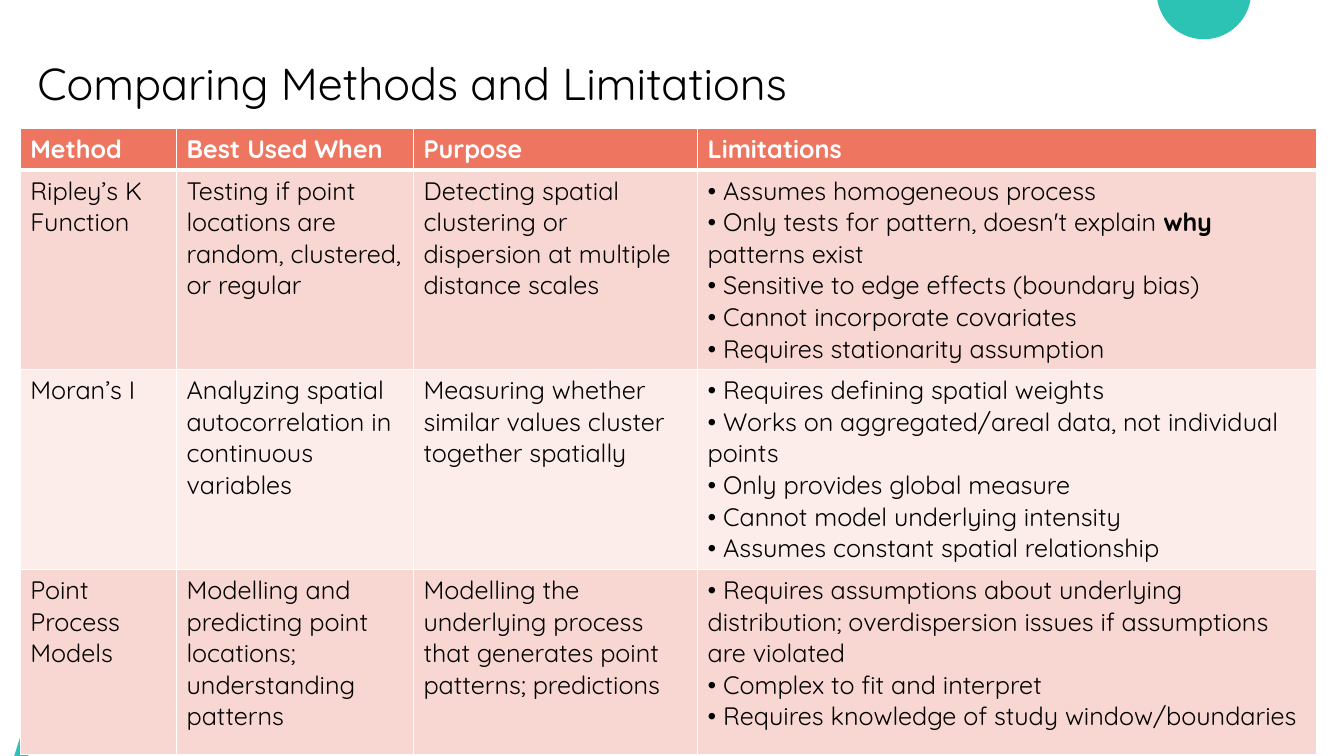
import math

from lxml import etree
from pptx import Presentation
from pptx.dml.color import RGBColor
from pptx.enum.text import MSO_ANCHOR, MSO_AUTO_SIZE, PP_ALIGN
from pptx.oxml.ns import qn
from pptx.util import Cm, Pt

LEFT = PP_ALIGN.LEFT
MIDDLE = MSO_ANCHOR.MIDDLE
NO_AUTOFIT = MSO_AUTO_SIZE.NONE

FONT = "Quicksand"
BLACK = RGBColor(0x00, 0x00, 0x00)
WHITE = RGBColor(0xFF, 0xFF, 0xFF)
TEAL = RGBColor(0x2C, 0xC3, 0xB4)
CORAL = RGBColor(0xEE, 0x76, 0x61)
PINK = RGBColor(0xF8, 0xD6, 0xD2)
PALE_PINK = RGBColor(0xFC, 0xEC, 0xEA)

TITLE_ONLY_LAYOUT = 5
COLUMN_WIDTHS = (3.94, 5.97, 7.16, 15.6)
HEADER_HEIGHT = 0.99
METHOD_HEIGHT = 4.67

DASHES = (
    (
        (0.36, 19.05), (0.51, 18.57), (0.76, 18.08), (0.91, 18.01),
        (1.06, 18.06), (1.11, 18.18), (0.97, 18.42), (0.84, 18.72), (0.71, 19.05),
    ),
    (
        (2.67, 16.33), (2.62, 16.36), (2.15, 16.63), (1.7, 16.97),
        (1.62, 17.13), (1.8, 17.27), (1.93, 17.22), (2.33, 16.92),
        (2.77, 16.66), (2.86, 16.52), (2.78, 16.37),
    ),
    (
        (4.55, 15.88), (4.01, 15.93), (3.86, 16.13), (4.01, 16.28),
        (4.55, 16.24), (5.05, 16.26), (5.27, 16.13), (5.11, 15.93),
    ),
)

HEADERS = ("Method", "Best Used When", "Purpose", "Limitations")
# Text between double asterisks is bold.
METHODS = (
    (
        "Ripley’s K Function",
        "Testing if point locations are random, clustered, or regular",
        "Detecting spatial clustering or dispersion at multiple distance scales",
        (
            "Assumes homogeneous process",
            "Only tests for pattern, doesn't explain **why** patterns exist",
            "Sensitive to edge effects (boundary bias)",
            "Cannot incorporate covariates",
            "Requires stationarity assumption",
        ),
    ),
    (
        "Moran’s I",
        "Analyzing spatial autocorrelation in continuous variables",
        "Measuring whether similar values cluster together spatially",
        (
            "Requires defining spatial weights",
            "Works on aggregated/areal data, not individual points",
            "Only provides global measure",
            "Cannot model underlying intensity",
            "Assumes constant spatial relationship",
        ),
    ),
    (
        "Point Process Models",
        "Modelling and predicting point locations; understanding patterns",
        "Modelling the underlying process that generates point patterns; predictions",
        (
            "Requires assumptions about underlying distribution; "
            "overdispersion issues if assumptions are violated",
            "Complex to fit and interpret",
            "Requires knowledge of study window/boundaries",
        ),
    ),
)


def format_font(paragraph, size, color):
    paragraph.font.name = FONT
    paragraph.font.size = Pt(size)
    paragraph.font.color.rgb = color


def add_teal_shape(slide, contours):
    """Draw one shape of closed contours given in centimetres."""
    contours = [[(Cm(x), Cm(y)) for x, y in contour] for contour in contours]
    builder = slide.shapes.build_freeform(*contours[0][0])
    builder.add_line_segments(contours[0][1:])
    for start, *others in contours[1:]:
        builder.move_to(*start)
        builder.add_line_segments(others)
    shape = builder.convert_to_shape()
    shape.shadow.inherit = False
    shape.fill.solid()
    shape.fill.fore_color.rgb = TEAL
    shape.line.fill.background()


def circle_below_edge(center_x, center_y, radius, steps=48):
    """Return the part of a circle that lies below the slide's top edge."""
    first = math.asin(-center_y / radius)
    sweep = math.pi - 2 * first
    angles = [first + sweep * step / steps for step in range(steps + 1)]
    return [
        (center_x + radius * math.cos(angle), center_y + radius * math.sin(angle))
        for angle in angles
    ]


def set_title(slide, text):
    title = slide.shapes.title
    title.left, title.top = Cm(0.69), Cm(0.33)
    title.width, title.height = Cm(29.21), Cm(3.68)
    frame = title.text_frame
    frame.text = text
    frame.auto_size = NO_AUTOFIT
    frame.vertical_anchor = MIDDLE
    paragraph = frame.paragraphs[0]
    paragraph.alignment = LEFT
    paragraph.line_spacing = 0.9
    format_font(paragraph, 32, BLACK)


def set_borders(cell, top, bottom):
    """Give a cell white borders, 1 point wide at the sides."""
    properties = cell._tc.get_or_add_tcPr()
    for tag, width in (("a:lnL", 1), ("a:lnR", 1), ("a:lnT", top), ("a:lnB", bottom)):
        line = etree.SubElement(properties, qn(tag), w=str(Pt(width)))
        fill = etree.SubElement(line, qn("a:solidFill"))
        etree.SubElement(fill, qn("a:srgbClr"), val=str(WHITE))


def fill_cell(cell, lines, background, color, bold=False):
    cell.fill.solid()
    cell.fill.fore_color.rgb = background
    frame = cell.text_frame
    for index, line in enumerate(lines):
        paragraph = frame.add_paragraph() if index else frame.paragraphs[0]
        format_font(paragraph, 18, color)
        for part_index, part in enumerate(line.split("**")):
            run = paragraph.add_run()
            run.text = part
            run.font.bold = bold or part_index % 2 == 1


def add_methods_table(slide):
    heights = [HEADER_HEIGHT] + [METHOD_HEIGHT] * len(METHODS)
    table = slide.shapes.add_table(
        len(heights), len(HEADERS), Cm(0.51), Cm(3.23),
        Cm(sum(COLUMN_WIDTHS)), Cm(sum(heights)),
    ).table
    for column, width in zip(table.columns, COLUMN_WIDTHS):
        column.width = Cm(width)
    for row, height in zip(table.rows, heights):
        row.height = Cm(height)

    for column, header in enumerate(HEADERS):
        cell = table.cell(0, column)
        set_borders(cell, top=1, bottom=3)
        fill_cell(cell, [header], CORAL, WHITE, bold=True)
    for row, (*descriptions, limitations) in enumerate(METHODS, start=1):
        background = PINK if row % 2 else PALE_PINK
        contents = [[description] for description in descriptions]
        contents.append([f"• {limitation}" for limitation in limitations])
        for column, lines in enumerate(contents):
            cell = table.cell(row, column)
            set_borders(cell, top=3 if row == 1 else 1, bottom=1)
            fill_cell(cell, lines, background, BLACK)


def main():
    presentation = Presentation()
    presentation.slide_width, presentation.slide_height = Cm(33.87), Cm(19.05)
    slide = presentation.slides.add_slide(
        presentation.slide_layouts[TITLE_ONLY_LAYOUT]
    )
    add_teal_shape(slide, [circle_below_edge(30.34, -0.2, 1.19)])
    add_teal_shape(slide, DASHES)
    set_title(slide, "Comparing Methods and Limitations")
    add_methods_table(slide)
    presentation.save("out.pptx")


if __name__ == "__main__":
    main()
